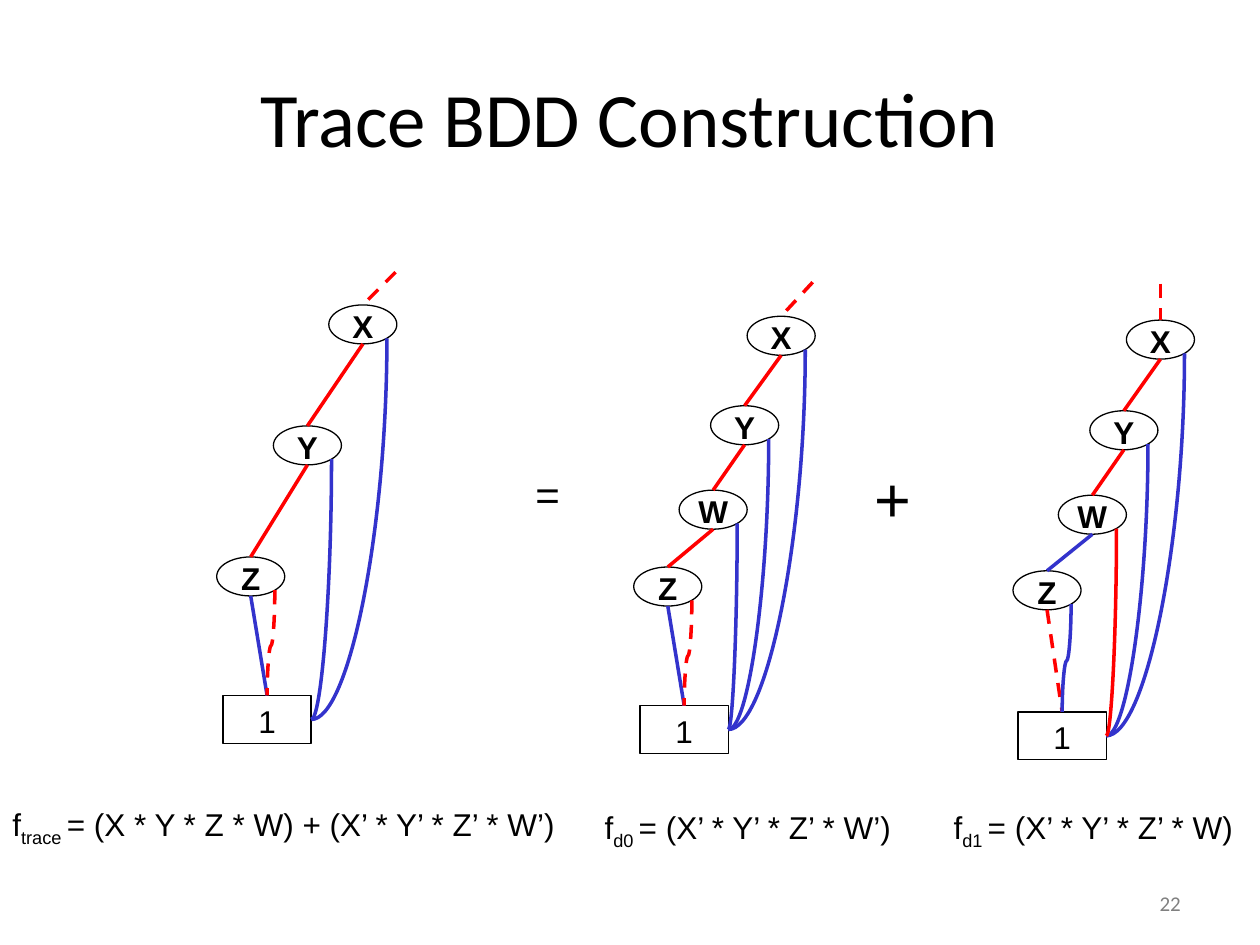
from lxml.etree import SubElement
from pptx import Presentation
from pptx.dml.color import RGBColor
from pptx.enum.dml import MSO_LINE
from pptx.enum.shapes import MSO_CONNECTOR as Connector, MSO_SHAPE as Shape
from pptx.enum.text import MSO_ANCHOR as Anchor, PP_ALIGN as Align
from pptx.oxml.ns import qn
from pptx.util import Inches, Pt

COLORS = {"black": "000000", "white": "FFFFFF", "red": "FF0000", "blue": "3333CC", "gray": "808080"}
OTHER = {"red": "blue", "blue": "red"}
NODE_SIZE = (0.54, 0.31)
LEAF_SIZE = (0.7, 0.38)
DIAGONAL = 0.5 ** 0.5
TOP, BOTTOM, LOWER_RIGHT, LEAF_RIGHT = 0, 4, 5, 3

TREES = [
    {
        "leaf": (1.77, 5.52),
        "entry": (3.14, 2.16),
        "nodes": [("X", 2.61, 2.42, "red"), ("Y", 2.17, 3.38, "red"), ("Z", 1.72, 4.42, "blue")],
    },
    {
        "leaf": (8.08, 5.65),
        "entry": (9.21, 2.25),
        "nodes": [("X", 8.94, 2.54, "red"), ("Y", 8.65, 3.26, "red"),
                  ("W", 8.4, 3.93, "blue"), ("Z", 8.04, 4.53, "red")],
    },
    {
        "leaf": (5.08, 5.6),
        "entry": (6.45, 2.24),
        "nodes": [("X", 5.93, 2.51, "red"), ("Y", 5.64, 3.22, "red"),
                  ("W", 5.39, 3.89, "red"), ("Z", 5.03, 4.5, "blue")],
    },
]
FORMULAS = [
    ((7.47, 6.34, 2.47, 0.42), "d1 ", "= (X’ * Y’ * Z’ * W)", False),
    ((4.7, 6.34, 2.52, 0.42), "d0 ", "= (X’ * Y’ * Z’ * W’)", False),
    ((0, 6.31, 4.67, 0.43), "trace ", "= (X * Y * Z * W) + (X’ * Y’ * Z’ * W’)", True),
]


def apply(target, values):
    for name, value in values.items():
        setattr(target, name, value)


class DiagramSlide:
    """Draws decision diagrams and their labels on one slide."""

    def __init__(self, slide):
        self.slide = slide
        self.font = {"name": "Arial", "size": Pt(18)}
        self.spacing = 1.08

    def set_text(self, shape, runs, font=None, color="black", align=Align.LEFT,
                 anchor=Anchor.TOP, wrap=True, spacing=None):
        apply(shape.text_frame, {"word_wrap": wrap, "vertical_anchor": anchor})
        paragraph = shape.text_frame.paragraphs[0]
        apply(paragraph, {"alignment": align, "line_spacing": spacing or self.spacing})
        for text, baseline in runs:
            run = paragraph.add_run()
            run.text = text
            apply(run.font, {**self.font, **(font or {})})
            run.font.color.rgb = RGBColor.from_string(COLORS[color])
            if baseline:
                run.font._element.set("baseline", str(baseline))

    def label(self, box, runs, **style):
        shape = self.slide.shapes.add_textbox(*map(Inches, box))
        self.set_text(shape, runs, **style)

    def vertex(self, group, kind, position, size, text, bold):
        shape = group.shapes.add_shape(kind, *map(Inches, position + size))
        shape.shadow.inherit = False
        if kind == Shape.RECTANGLE:
            shape.fill.solid()
            shape.fill.fore_color.rgb = RGBColor.from_string(COLORS["white"])
        else:
            shape.fill.background()
        shape.line.color.rgb = RGBColor.from_string(COLORS["black"])
        shape.line.width = Pt(0.75)
        self.set_text(shape, [(text, 0)], {"bold": bold}, align=Align.CENTER,
                      anchor=Anchor.MIDDLE, wrap=False)
        return shape

    def edge(self, group, start, end, color, dashed=False, glue=()):
        connector = group.shapes.add_connector(Connector.STRAIGHT, *map(Inches, start + end))
        connector.line.color.rgb = RGBColor.from_string(COLORS[color])
        connector.line.width = Pt(2)
        if dashed:
            connector.line.dash_style = MSO_LINE.DASH
        SubElement(connector._element.spPr, qn("a:effectLst"))
        links = connector._element.find(qn("p:nvCxnSpPr")).find(qn("p:cNvCxnSpPr"))
        for tag, shape, site in glue:
            SubElement(links, qn(tag), id=str(shape.shape_id), idx=str(site))
        return connector

    def curve(self, group, start, end, color, preset, dashed, glue):
        connector = self.edge(group, start, end, color, dashed, glue)
        across, down = start[0] - end[0], end[1] - start[1]
        properties = connector._element.spPr
        transform = properties.find(qn("a:xfrm"))
        transform.attrib.pop("flipH", None)
        transform.set("rot", "5400000")
        apply(connector, {
            "left": Inches((start[0] + end[0] - down) / 2),
            "top": Inches((start[1] + end[1] - across) / 2),
            "width": Inches(down),
            "height": Inches(across),
        })
        geometry = properties.find(qn("a:prstGeom"))
        geometry.set("prst", preset)
        if preset == "curvedConnector3":
            SubElement(geometry.find(qn("a:avLst")), qn("a:gd"), name="adj1", fmla="val 52600")

    def tree(self, leaf, entry, nodes):
        group = self.slide.shapes.add_group_shape()
        width, height = NODE_SIZE
        leaf_shape = self.vertex(group, Shape.RECTANGLE, leaf, LEAF_SIZE, "1", False)
        leaf_top = (leaf[0] + LEAF_SIZE[0] / 2, leaf[1])
        leaf_right = (leaf[0] + LEAF_SIZE[0], leaf[1] + LEAF_SIZE[1] / 2)
        shapes = [self.vertex(group, Shape.OVAL, (x, y), NODE_SIZE, name, True)
                  for name, x, y, _ in nodes]
        tops = [(x + width / 2, y) for _, x, y, _ in nodes]
        self.edge(group, entry, tops[0], "red", True, [("a:endCxn", shapes[0], TOP)])
        targets = list(zip(shapes[1:] + [leaf_shape], tops[1:] + [leaf_top]))
        for shape, (x, y), (target, target_top), node in zip(shapes, tops, targets, nodes):
            color = node[3]
            last = target is leaf_shape
            self.edge(group, (x, y + height), target_top, color, last and color == "red",
                      [("a:stCxn", shape, BOTTOM), ("a:endCxn", target, TOP)])
            start = (x + width / 2 * DIAGONAL, y + height / 2 * (1 + DIAGONAL))
            self.curve(group, start, leaf_top if last else leaf_right, OTHER[color],
                       "curvedConnector3" if last else "curvedConnector2",
                       last and color == "blue",
                       [("a:stCxn", shape, LOWER_RIGHT),
                        ("a:endCxn", leaf_shape, TOP if last else LEAF_RIGHT)])


def main():
    presentation = Presentation()
    apply(presentation, {"slide_width": Inches(10), "slide_height": Inches(7.5)})
    diagram = DiagramSlide(presentation.slides.add_slide(presentation.slide_layouts[6]))
    diagram.label((0.5, 0.3, 9, 1.25), [("Trace BDD Construction", 0)],
                  font={"name": "Calibri", "size": Pt(44)}, align=Align.CENTER,
                  anchor=Anchor.MIDDLE, spacing=1.0)
    for box, subscript, formula, wrap in FORMULAS:
        diagram.label(box, [("f", 0), (subscript, -25000), (formula, 0)], wrap=wrap)
    diagram.label((4.15, 3.64, 0.4, 0.53), [("=", 0)], font={"size": Pt(24)})
    diagram.label((6.84, 3.55, 0.47, 0.75), [("+", 0)], font={"size": Pt(36)})
    for tree in TREES:
        diagram.tree(**tree)
    diagram.label((7.14, 6.97, 2.33, 0.4), [("22", 0)],
                  font={"name": "Calibri", "size": Pt(12)}, color="gray",
                  align=Align.RIGHT, anchor=Anchor.MIDDLE, spacing=1.0)
    presentation.save("out.pptx")


if __name__ == "__main__":
    main()
